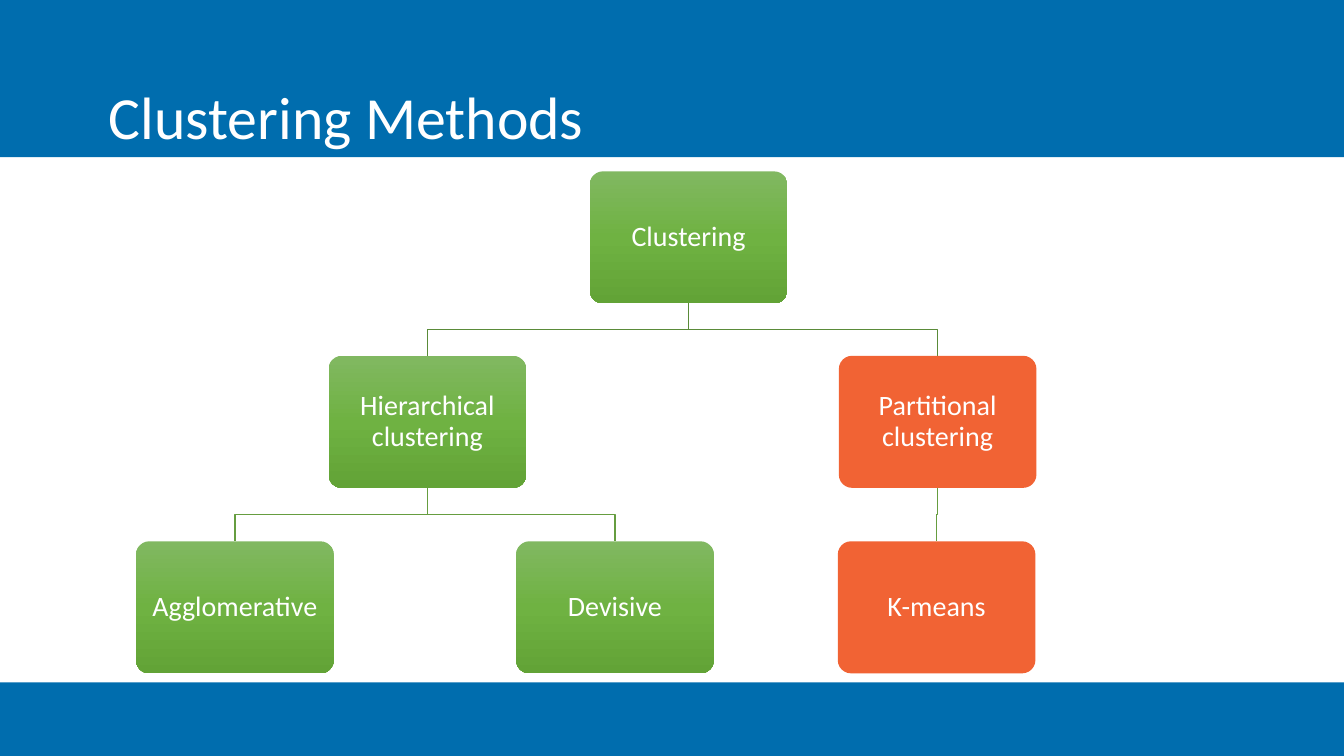
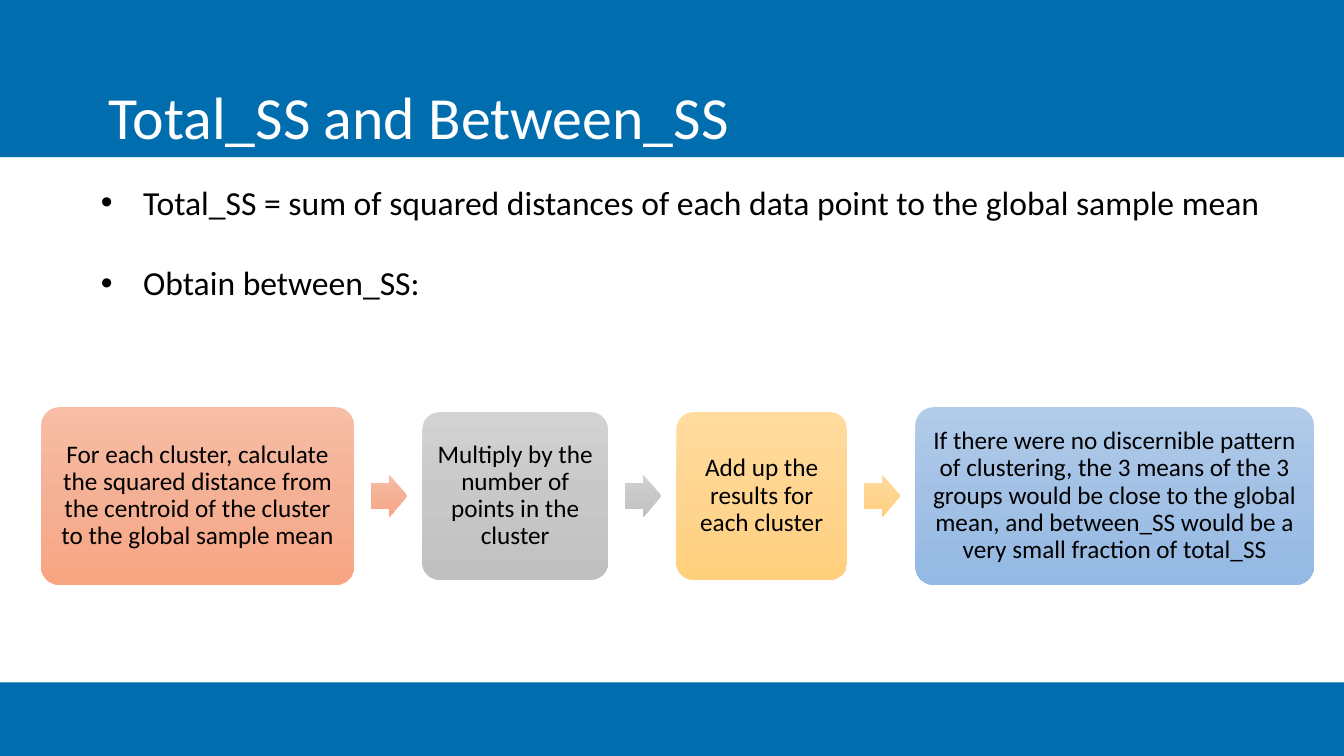
from copy import deepcopy
from typing import NamedTuple

from pptx import Presentation
from pptx.dml.color import RGBColor
from pptx.enum.shapes import MSO_SHAPE
from pptx.enum.text import MSO_ANCHOR, MSO_AUTO_SIZE, PP_ALIGN
from pptx.oxml.ns import qn
from pptx.oxml.xmlchemy import OxmlElement
from pptx.util import Inches, Pt

FONT = "Calibri"
COLORS = {
    "band": "006DAE", "white": "FFFFFF", "black": "000000",
    "upper line": "5A8B39", "lower line": "669D40",
}
# One colour is a solid fill, three are a gradient from top to bottom
FILLS = {
    "green": ("81B861", "6FB242", "62A336"),
    "orange": ("F16334",),
    "salmon": ("F7BDA5", "F5B196", "F8A582"),
    "gray": ("D2D2D2", "C8C8C8", "C0C0C0"),
    "yellow": ("FFDB9E", "FFD590", "FFD07C"),
    "blue": ("B1CBE9", "A3C1E5", "93B9E4"),
}
SLIDE_WIDTH, SLIDE_HEIGHT = 13.33, 7.5
HEADER_HEIGHT, FOOTER_TOP = 1.56, 6.77
NODE_WIDTH, NODE_HEIGHT = 1.96, 1.31
LEVEL_TOPS = (1.70, 3.53, 5.37)
STEP_LEFT, STEP_MIDDLE, STEP_GAP = 0.41, 4.92, 0.68
ARROW_OFFSET, ARROW_WIDTH, ARROW_HEIGHT = 0.17, 0.36, 0.42


class Node(NamedTuple):
    text: str
    level: int
    left: float
    fill: str
    parent: str = ""


class Step(NamedTuple):
    text: str
    width: float
    height: float
    fill: str


NODES = (
    Node("Clustering", 0, 5.85, "green"),
    Node("Hierarchical clustering", 1, 3.26, "green", "Clustering"),
    Node("Partitional clustering", 1, 8.32, "orange", "Clustering"),
    Node("Agglomerative", 2, 1.35, "green", "Hierarchical clustering"),
    Node("Devisive", 2, 5.12, "green", "Hierarchical clustering"),
    Node("K-means", 2, 8.31, "orange", "Partitional clustering"),
)
STEPS = (
    Step("For each cluster, calculate the squared distance from the centroid "
         "of the cluster to the global sample mean", 3.10, 1.76, "salmon"),
    Step("Multiply by the number of points in the cluster", 1.84, 1.66, "gray"),
    Step("Add up the results for each cluster", 1.69, 1.66, "yellow"),
    Step("If there were no discernible pattern of clustering, the 3 means of "
         "the 3 groups would be close to the global mean, and between_SS "
         "would be a very small fraction of total_SS", 3.95, 1.76, "blue"),
)
BULLETS = (
    "Total_SS = sum of squared distances of each data point to the global sample mean",
    "Obtain between_SS:",
)


def rgb(name: str) -> RGBColor:
    return RGBColor.from_string(COLORS[name])


def place(shape, left: float, top: float, width: float, height: float) -> None:
    shape.left, shape.top = Inches(left), Inches(top)
    shape.width, shape.height = Inches(width), Inches(height)


def style_font(para, size: float, color: str) -> None:
    for span in para.runs:
        span.font.name = FONT
        span.font.size = Pt(size)
        span.font.color.rgb = rgb(color)


def paint(shape, hexes: tuple[str, ...]) -> None:
    if len(hexes) == 1:
        shape.fill.solid()
        shape.fill.fore_color.rgb = RGBColor.from_string(hexes[0])
        return
    shape.fill.gradient()
    shape.fill.gradient_angle = 270
    stop_list = shape._element.spPr.find(".//" + qn("a:gsLst"))
    stop_list.insert(1, deepcopy(stop_list[0]))
    for index, (stop, color) in enumerate(zip(shape.fill.gradient_stops, hexes)):
        stop.position = index / 2
        stop.color.rgb = RGBColor.from_string(color)


def add_shape(page, kind, left: float, top: float, width: float, height: float,
              hexes: tuple[str, ...]):
    shape = page.shapes.add_shape(kind, Inches(left), Inches(top),
                                  Inches(width), Inches(height))
    shape.shadow.inherit = False
    shape.line.fill.background()
    paint(shape, hexes)
    return shape


def add_card(page, left: float, top: float, width: float, height: float, fill: str,
             text: str, size: float, color: str, inset: float) -> None:
    card = add_shape(page, MSO_SHAPE.ROUNDED_RECTANGLE, left, top, width, height,
                     FILLS[fill])
    card.adjustments[0] = 0.1
    frame = card.text_frame
    frame.word_wrap = True
    frame.vertical_anchor = MSO_ANCHOR.MIDDLE
    frame.margin_left = frame.margin_right = Inches(inset)
    frame.margin_top = frame.margin_bottom = Inches(inset)
    frame.text = text
    para = frame.paragraphs[0]
    para.alignment = PP_ALIGN.CENTER
    para.line_spacing = 0.9
    style_font(para, size, color)


def add_page(deck, layout: int, title_text: str):
    page = deck.slides.add_slide(deck.slide_layouts[layout])
    # Title in the top band
    title = page.shapes.title
    place(title, 0, 0, SLIDE_WIDTH, HEADER_HEIGHT)
    paint(title, (COLORS["band"],))
    frame = title.text_frame
    frame.text = title_text
    frame.auto_size = MSO_AUTO_SIZE.NONE
    frame.vertical_anchor = MSO_ANCHOR.BOTTOM
    frame.margin_left, frame.margin_bottom = Inches(1.08), Inches(0.06)
    frame.paragraphs[0].alignment = PP_ALIGN.LEFT
    style_font(frame.paragraphs[0], 42.7, "white")
    # Bottom band
    add_shape(page, MSO_SHAPE.RECTANGLE, 0, FOOTER_TOP, SLIDE_WIDTH,
              SLIDE_HEIGHT - FOOTER_TOP, (COLORS["band"],))
    return page


def add_branch(page, parent: Node, child: Node) -> None:
    start_x, end_x = (node.left + NODE_WIDTH / 2 for node in (parent, child))
    start_y = LEVEL_TOPS[parent.level] + NODE_HEIGHT
    end_y = LEVEL_TOPS[child.level]
    bend_y = (start_y + end_y) / 2
    builder = page.shapes.build_freeform(Inches(start_x), Inches(start_y))
    builder.add_line_segments(
        [(Inches(x), Inches(y))
         for x, y in ((start_x, bend_y), (end_x, bend_y), (end_x, end_y))],
        close=False)
    branch = builder.convert_to_shape()
    branch.shadow.inherit = False
    branch.fill.background()
    branch.line.width = Pt(1)
    branch.line.color.rgb = rgb("lower line" if parent.level else "upper line")


def add_bullets(page, texts: tuple[str, ...]) -> None:
    body = page.placeholders[1]
    place(body, 0.9, 1.75, 11.83, 1.31)
    frame = body.text_frame
    frame.text = "\n".join(texts)
    frame.auto_size = MSO_AUTO_SIZE.NONE
    for index, para in enumerate(frame.paragraphs):
        properties = para._p.get_or_add_pPr()
        properties.set("marL", str(Inches(0.42)))
        properties.set("indent", str(-Inches(0.42)))
        bullet = OxmlElement("a:buChar")
        bullet.set("char", "•")
        properties.append(bullet)
        para.space_before = Pt(29 if index else 0)
        style_font(para, 24, "black")


def build_methods(deck) -> None:
    page = add_page(deck, 5, "Clustering Methods")
    by_text = {node.text: node for node in NODES}
    for node in NODES:
        if node.parent:
            add_branch(page, by_text[node.parent], node)
        add_card(page, node.left, LEVEL_TOPS[node.level], NODE_WIDTH, NODE_HEIGHT,
                 node.fill, node.text, 20, "white", 0.08)


def build_sums(deck) -> None:
    page = add_page(deck, 1, "Total_SS and Between_SS")
    add_bullets(page, BULLETS)
    # Process steps with an arrow after each but the last
    left = STEP_LEFT
    for step in STEPS:
        add_card(page, left, STEP_MIDDLE - step.height / 2, step.width, step.height,
                 step.fill, step.text, 18, "black", 0.07)
        left += step.width
        if step is not STEPS[-1]:
            arrow = add_shape(page, MSO_SHAPE.RIGHT_ARROW, left + ARROW_OFFSET,
                              STEP_MIDDLE - ARROW_HEIGHT / 2, ARROW_WIDTH,
                              ARROW_HEIGHT, FILLS[step.fill])
            arrow.adjustments[0] = 0.6
        left += STEP_GAP


def main() -> None:
    deck = Presentation()
    deck.slide_width, deck.slide_height = Inches(SLIDE_WIDTH), Inches(SLIDE_HEIGHT)
    build_methods(deck)
    build_sums(deck)
    deck.save("out.pptx")


if __name__ == "__main__":
    main()
